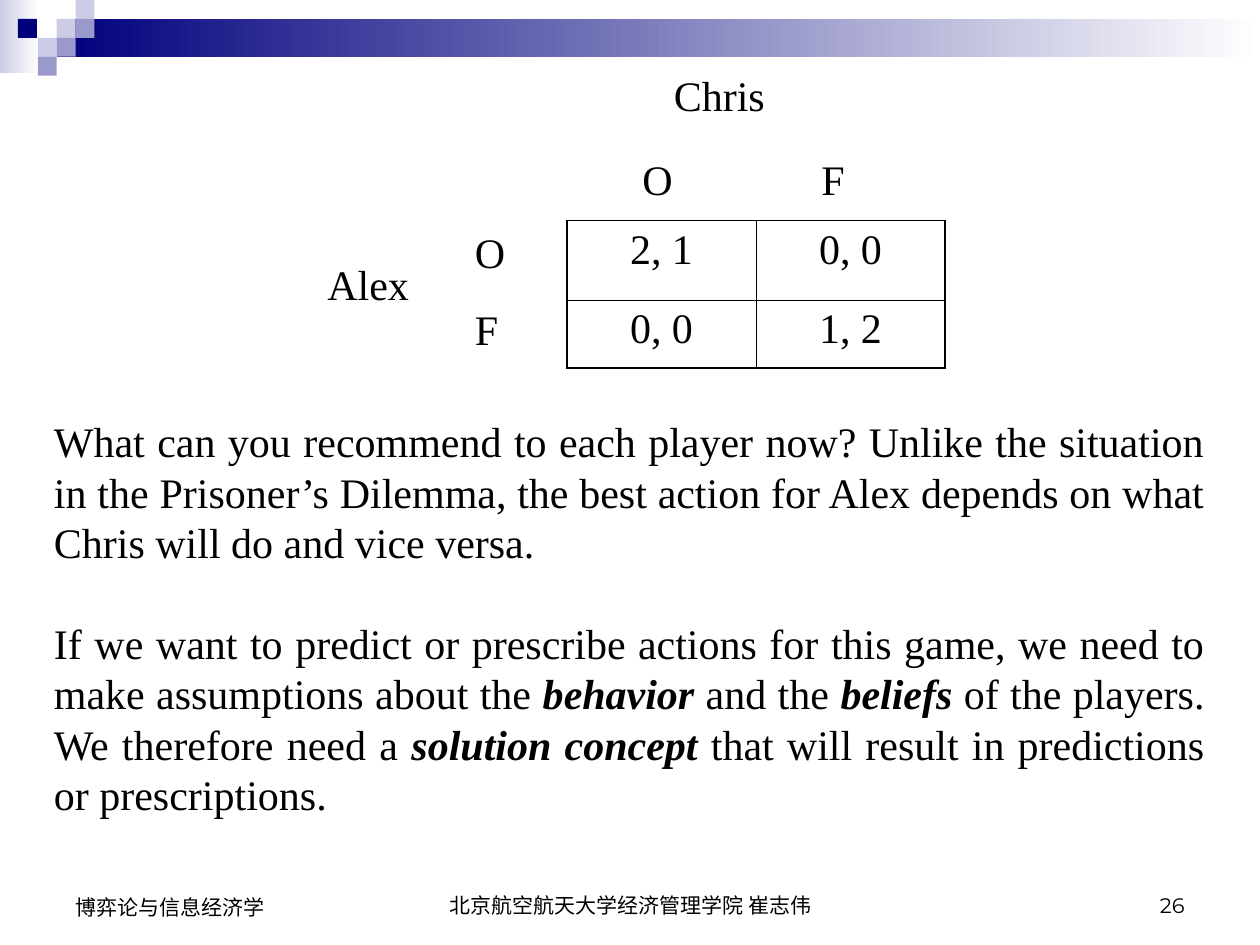
from pptx import Presentation
from pptx.util import Inches, Pt
from pptx.dml.color import RGBColor
from pptx.enum.shapes import MSO_SHAPE
from pptx.enum.text import PP_ALIGN, MSO_ANCHOR
from pptx.oxml import parse_xml
from pptx.oxml.ns import nsdecls

NAVY = RGBColor(0x00, 0x00, 0x7D)
MID = RGBColor(0x99, 0x99, 0xCC)
PALE = RGBColor(0xCC, 0xCC, 0xE6)
WHITE = RGBColor(0xFF, 0xFF, 0xFF)
BLACK = RGBColor(0x00, 0x00, 0x00)
SERIF = "Times New Roman"

deck = Presentation()
deck.slide_width, deck.slide_height = Inches(10), Inches(7.5)
slide = deck.slides.add_slide(deck.slide_layouts[6])


def add_run(para, text, size=24, font=SERIF, strong=False):
    run = para.add_run()
    run.text = text
    run.font.size, run.font.name = Pt(size), font
    run.font.bold = run.font.italic = strong
    run.font.color.rgb = BLACK


def add_box(left, top, width, height, align=PP_ALIGN.LEFT):
    box = slide.shapes.add_textbox(*map(Inches, (left, top, width, height)))
    box.text_frame.word_wrap = True
    box.text_frame.paragraphs[0].alignment = align
    return box.text_frame


# Header: two fading bars, then squares on a 0.15 inch grid
UNIT = 0.15
bars = [((0, 0, 0.31, 0.58), PALE), ((3 * UNIT, UNIT, 9.55, 2 * UNIT), NAVY)]
tiles = [(3, 1, PALE), (4, 0, PALE), (4, 1, MID), (2, 2, PALE),
         (0.95, 1, NAVY), (3, 2, MID), (2, 3, MID)]
parts = [(at, color, True) for at, color in bars]
parts += [((col * UNIT, row * UNIT, UNIT, UNIT), color, False)
          for col, row, color in tiles]
for at, color, fade in parts:
    rect = slide.shapes.add_shape(MSO_SHAPE.RECTANGLE, *map(Inches, at))
    rect.shadow.inherit = False
    rect.line.fill.background()
    if fade:
        rect.fill.gradient()
        rect.fill.gradient_angle = 0
        for stop, tone in zip(rect.fill.gradient_stops, (color, WHITE)):
            stop.color.rgb = tone
    else:
        rect.fill.solid()
        rect.fill.fore_color.rgb = color

# Footer
for text, at, font, align in [
        ("北京航空航天大学经济管理学院 崔志伟", (3.42, 6.83, 3.17, 0.5), "Arial", PP_ALIGN.CENTER),
        ("26", (7.17, 6.83, 2.33, 0.5), "Montserrat", PP_ALIGN.RIGHT),
        ("博弈论与信息经济学", (0.5, 6.83, 2.33, 0.52), "Arial", PP_ALIGN.LEFT)]:
    frame = add_box(*at, align)
    frame.vertical_anchor = MSO_ANCHOR.BOTTOM
    add_run(frame.paragraphs[0], text, 12, font)

# Payoff table: thick outer edge, thin inner lines
pays = [["2, 1", "0, 0"], ["0, 0", "1, 2"]]
table = slide.shapes.add_table(2, 2, Inches(4.5), Inches(1.75),
                               Inches(3), Inches(1.17)).table
table.first_row = table.horz_banding = False
for row, high in zip(table.rows, (0.63, 0.54)):
    row.height = Inches(high)
for r, line in enumerate(pays):
    for c, pay in enumerate(line):
        cell = table.cell(r, c)
        para = cell.text_frame.paragraphs[0]
        para.alignment = PP_ALIGN.CENTER
        add_run(para, pay)
        props = cell._tc.get_or_add_tcPr()
        for side, outer in (("L", c == 0), ("R", c == 1), ("T", r == 0), ("B", r == 1)):
            width = Pt(1.08 if outer else 0.45)
            props.append(parse_xml(
                f'<a:ln{side} {nsdecls("a")} w="{width}"><a:solidFill>'
                f'<a:srgbClr val="{BLACK}"/></a:solidFill></a:ln{side}>'))
        cell.fill.background()

# Players and their actions
for text, left, top, width in [
        ("O", 3.67, 1.75, 0.5), ("F", 3.67, 2.36, 0.58), ("Chris", 5.25, 0.5, 1.83),
        ("Alex", 2.5, 2, 1.08), ("O", 5, 1.17, 0.5), ("F", 6.42, 1.17, 0.58)]:
    add_run(add_box(left, top, width, 0.5).paragraphs[0], text)

# Discussion
frame = add_box(0.33, 3.25, 9.33, 3.3, PP_ALIGN.JUSTIFY)
first = frame.paragraphs[0]
add_run(first, "What can you recommend to each player now? Unlike the situation in the "
        "Prisoner’s Dilemma, the best action for Alex depends on what Chris will do "
        "and vice versa.")
first.space_after = Pt(28.8)
last = frame.add_paragraph()
last.alignment = PP_ALIGN.JUSTIFY
for text, strong in [
        ("If we want to predict or prescribe actions for this game, we need to make "
         "assumptions about the ", False),
        ("behavior", True), (" and the ", False), ("beliefs", True),
        (" of the players. We therefore need a ", False), ("solution concept ", True),
        ("that will result in predictions or prescriptions.", False)]:
    add_run(last, text, strong=strong)

deck.save("out.pptx")
